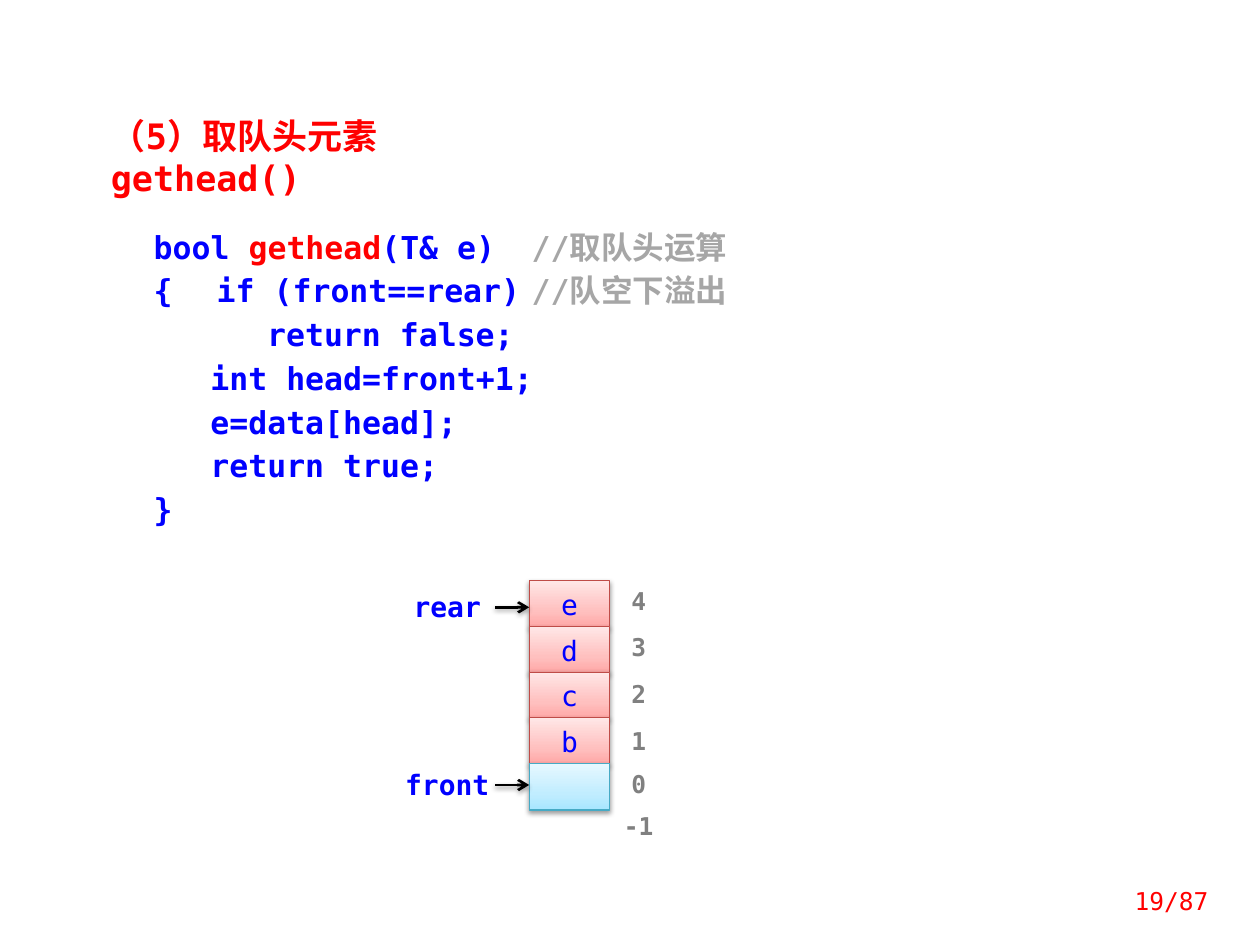
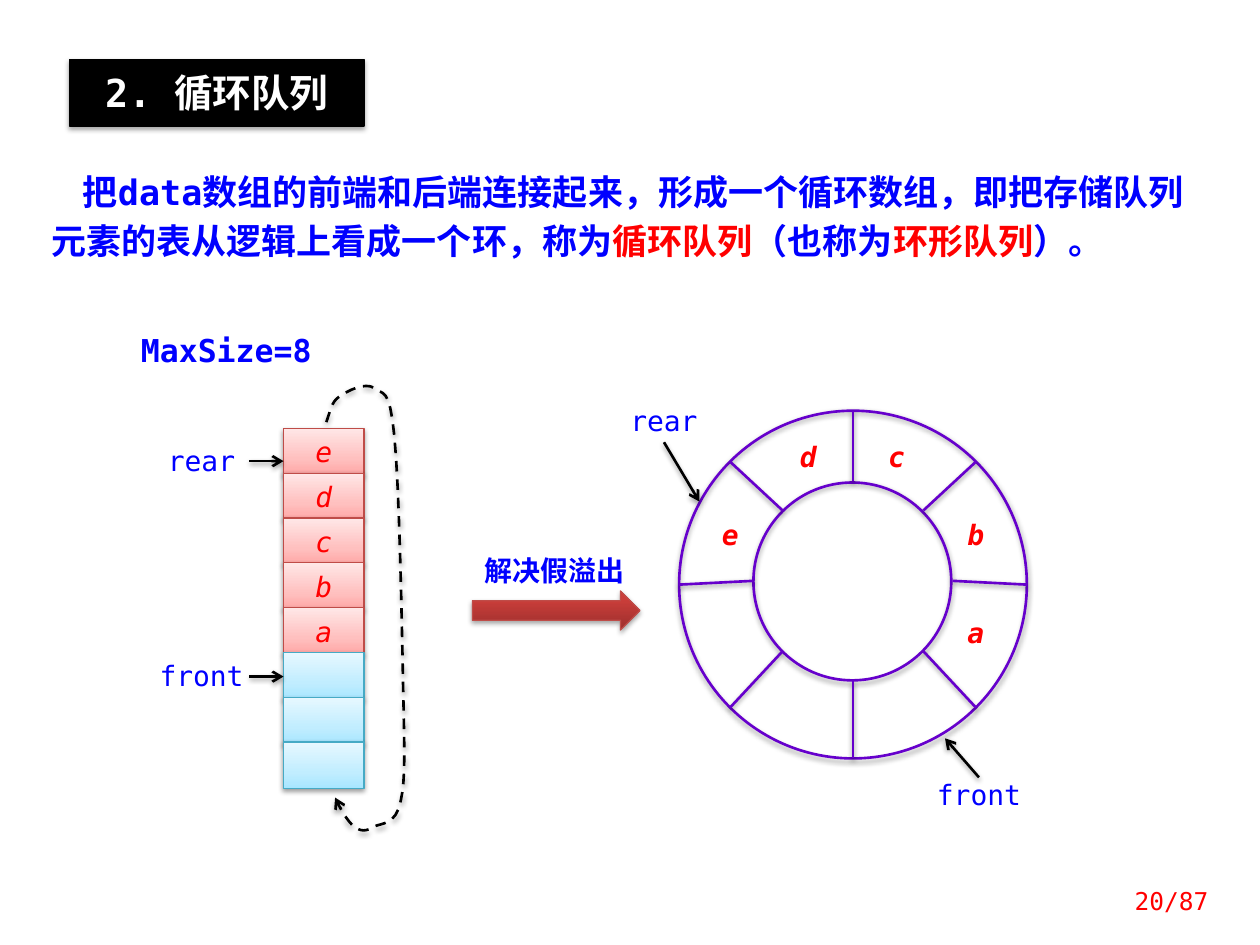
from dataclasses import dataclass
from math import cos, pi, sin
from typing import NamedTuple

from lxml.etree import SubElement
from pptx import Presentation
from pptx.dml.color import RGBColor
from pptx.enum.dml import MSO_LINE_DASH_STYLE as Dash
from pptx.enum.lang import MSO_LANGUAGE_ID as Lang
from pptx.enum.shapes import MSO_CONNECTOR as Link, MSO_SHAPE as Kind
from pptx.enum.text import MSO_ANCHOR as Anchor, MSO_AUTO_SIZE as Fit, PP_ALIGN as Align
from pptx.oxml.ns import qn
from pptx.util import Pt

SCALE = 9144
FONT = "DejaVu Sans Mono"
BLUE, RED, GRAY, PALE = "0000FF", "FF0000", "808080", "A6A6A6"
BLACK, WHITE, PURPLE = "000000", "FFFFFF", "6600CC"
NONE, BASE = (0, 0, 0, 0), (10, 5, 10, 5)


class Area(NamedTuple):
    x: int
    y: float
    w: int
    h: int


class Run(NamedTuple):
    text: str
    color: str = ""


@dataclass(frozen=True)
class Face:
    size: int
    color: str = BLUE
    bold: bool = False
    slant: bool = False


@dataclass(frozen=True)
class Para:
    runs: tuple[Run, ...]
    align: Align = Align.LEFT
    lead: int = 0
    left: int = 0
    first: int = 0
    tabs: tuple[int, ...] = ()


@dataclass(frozen=True)
class Look:
    fill: str = ""
    stops: tuple[tuple[int, str], ...] = ()
    line: str = ""
    width: float = 0.75
    shade: int = 0


@dataclass(frozen=True)
class Stack:
    x: int
    top: int
    last: int
    full: str
    free: int
    face: Face


PINK = Look(stops=((0, "FFA6A5"), (35, "FFC0BF"), (100, "FFE7E7")), line="BF4C48", shade=38)
SKY = Look(stops=((0, "A7E6FF"), (35, "C1EDFF"), (100, "E7F8FF")), line="46AAC5", shade=38)
BRICK = Look(stops=((0, "9C2F2D"), (80, "CB3E3A"), (100, "CE3B37")), line="BF4C48", shade=35)
BAND = Look(fill=BLACK, line=BLACK, shade=35)
RING = Look(line=PURPLE, width=1.5, shade=38)
INK = Look(line=BLACK, width=1.5, shade=38)
BARE, PLAIN = Look(), Look(fill=WHITE)


def px(value: float) -> int:
    return round(value * SCALE)


def tint(code: str) -> RGBColor:
    return RGBColor.from_string(code)


def stroke(shape, look: Look, tip: bool = False, dash: bool = False) -> None:
    shape.line.color.rgb = tint(look.line)
    shape.line.width = Pt(look.width)
    if dash:
        shape.line.dash_style = Dash.DASH
    if tip:
        SubElement(shape._element.spPr.find(qn("a:ln")), qn("a:tailEnd"), type="arrow")


def cast(shape, look: Look) -> None:
    glow = SubElement(shape._element.spPr, qn("a:effectLst"))
    if look.shade:
        drop = SubElement(glow, qn("a:outerShdw"), blurRad=str(px(4)), dist=str(px(2)),
                          dir="5400000", rotWithShape="0")
        hue = SubElement(drop, qn("a:srgbClr"), val=BLACK)
        SubElement(hue, qn("a:alpha"), val=str(look.shade * 1000))


def dress(shape, look: Look, tip: bool = False, dash: bool = False) -> None:
    if look.stops:
        shape.fill.gradient()
        shape.fill.gradient_angle = 90
        ramp = shape._element.spPr.find(qn("a:gradFill")).find(qn("a:gsLst"))
        for stop in list(ramp):
            ramp.remove(stop)
        for place, code in look.stops:
            stop = SubElement(ramp, qn("a:gs"), pos=str(place * 1000))
            SubElement(stop, qn("a:srgbClr"), val=code)
    elif look.fill:
        shape.fill.solid()
        shape.fill.fore_color.rgb = tint(look.fill)
    else:
        shape.fill.background()
    if look.line:
        stroke(shape, look, tip, dash)
    else:
        shape.line.fill.background()
    cast(shape, look)


def write(shape, paras: tuple[Para, ...], face: Face, inset=BASE, anchor=Anchor.TOP) -> None:
    frame = shape.text_frame
    frame.word_wrap = True
    frame.auto_size = Fit.NONE
    frame.vertical_anchor = anchor
    frame.margin_left, frame.margin_top, frame.margin_right, frame.margin_bottom = map(px, inset)
    for i, para in enumerate(paras):
        line = frame.add_paragraph() if i else frame.paragraphs[0]
        line.alignment = para.align
        if para.lead:
            line.line_spacing = Pt(para.lead)
        props = line._p.get_or_add_pPr()
        props.set("marL", str(px(para.left)))
        props.set("indent", str(px(para.first)))
        if para.tabs:
            tabs = SubElement(props, qn("a:tabLst"))
            for tab in para.tabs:
                SubElement(tabs, qn("a:tab"), pos=str(px(tab)), algn="l")
        for part in para.runs:
            run = line.add_run()
            run.text = part.text
            font = run.font
            font.name, font.size = FONT, Pt(face.size)
            font.bold, font.italic = face.bold, face.slant
            font.language_id = Lang.SIMPLIFIED_CHINESE
            font.color.rgb = tint(part.color or face.color)


def form(slide, kind: Kind, area: Area, look: Look):
    shape = slide.shapes.add_shape(kind, *map(px, area))
    dress(shape, look)
    return shape


def tag(slide, area: Area, text: str, face: Face, look: Look = PLAIN, lead: int = 0) -> None:
    shape = form(slide, Kind.RECTANGLE, area, look)
    if text:
        write(shape, (Para((Run(text),), Align.CENTER, lead),), face, NONE)


def note(slide, area: Area, para: Para, face: Face, anchor=Anchor.TOP) -> None:
    write(slide.shapes.add_textbox(*map(px, area)), (para,), face, anchor=anchor)


def join(slide, x1: float, y1: float, x2: float, y2: float, look: Look = INK, tip: bool = True) -> None:
    link = slide.shapes.add_connector(Link.STRAIGHT, px(x1), px(y1), px(x2), px(y2))
    stroke(link, look, tip)
    cast(link, look)


def point(slide, x: int, y: int, text: str, face: Face) -> None:
    tag(slide, Area(x - 108, y - 14, 86, 30), text, face)
    join(slide, x - 27, y, x, y)


def pile(slide, stack: Stack) -> None:
    count = len(stack.full) + stack.free
    step = (stack.last - stack.top) / (count - 1)
    for i in range(count):
        text = stack.full[i:i + 1]
        area = Area(stack.x, stack.top + i * step, 64, 37)
        tag(slide, area, text, stack.face, PINK if text else SKY, 23)


def start(deck, title: str, area: Area, face: Face, look: Look, align: Align, inset, page: int):
    slide = deck.slides.add_slide(deck.slide_layouts[5])
    head = slide.shapes.title
    head.left, head.top, head.width, head.height = map(px, area)
    dress(head, look)
    write(head, (Para((Run(title),), align),), face, inset)
    note(slide, Area(867, 695, 102, 40), Para((Run(f"{page}/87"),), Align.RIGHT),
         Face(14, RED), Anchor.MIDDLE)
    return slide


def code(*runs: Run, left: int = 0) -> Para:
    return Para(runs, lead=25, left=left, tabs=() if left else (45, 400))


def front_item(deck) -> None:
    slide = start(deck, "（5）取队头元素gethead()", Area(78, 86, 375, 44),
                  Face(20, RED, True), BARE, Align.LEFT, BASE, 19)
    lines = (
        code(Run("bool "), Run("gethead", RED), Run("(T& e)\t"), Run("//取队头运算", PALE)),
        code(Run("{\tif (front==rear)\t"), Run("//队空下溢出", PALE)),
        code(Run("return false;"), left=90),
        code(Run("int head=front+1;"), left=45),
        code(Run("e=data[head];"), left=45),
        code(Run("return true;"), left=45),
        code(Run("}")),
    )
    body = form(slide, Kind.RECTANGLE, Area(102, 164, 672, 267), PLAIN)
    write(body, lines, Face(18, bold=True), (20, 12, 10, 12))
    pile(slide, Stack(420, 461, 606, "edcb", 1, Face(16)))
    for i, y in enumerate((465, 502, 539, 576, 610, 644)):
        tag(slide, Area(492, y, 30, 27), str(4 - i), Face(14, GRAY, True))
    for text, y in (("rear", 482), ("front", 623)):
        point(slide, 420, y, text, Face(16, bold=True))


def ring(slide) -> None:
    form(slide, Kind.OVAL, Area(598, 383, 157, 157), RING)
    form(slide, Kind.OVAL, Area(539, 326, 276, 276), RING)
    for i in range(8):
        dx, dy = cos(i * pi / 4), sin(i * pi / 4)
        join(slide, 677 + 79 * dx, 461 + 79 * dy, 677 + 138 * dx, 464 + 138 * dy, RING, False)
    for text, x, y in (("e", 563, 406), ("d", 625, 344), ("c", 695, 344),
                       ("b", 758, 406), ("a", 758, 484)):
        note(slide, Area(x, y, 39, 37), Para((Run(text),)), Face(16, RED, True, True))
    tag(slide, Area(734, 617, 86, 30), "front", Face(16))
    join(slide, 777, 617, 750, 586)
    tag(slide, Area(484, 320, 86, 30), "rear", Face(16))
    join(slide, 527, 351, 555, 398)


def loop(slide) -> None:
    here = (259, 335)
    bends = (
        ((262, 327), (263, 319), (269, 315)),
        ((276, 310), (290, 303), (297, 308)),
        ((304, 314), (309, 306), (313, 346)),
        ((317, 386), (319, 498), (320, 547)),
        ((321, 595), (322, 618), (318, 636)),
        ((314, 655), (303, 653), (297, 656)),
        ((291, 660), (286, 660), (281, 656)),
        ((276, 652), (270, 642), (266, 633)),
    )
    pen = slide.shapes.build_freeform(*map(px, here))
    dots = []
    for one, two, end in bends:
        for t in (i / 8 for i in range(1, 9)):
            u = 1 - t
            dots.append(tuple(px(u**3 * a + 3 * u * u * t * b + 3 * u * t * t * c + t**3 * d)
                              for a, b, c, d in zip(here, one, two, end)))
        here = end
    pen.add_line_segments(dots, close=False)
    dress(pen.convert_to_shape(), INK, tip=True, dash=True)


def round_queue(deck) -> None:
    slide = start(deck, "2. 循环队列", Area(55, 47, 234, 53), Face(22, WHITE, True),
                  BAND, Align.CENTER, (10, 8, 10, 8), 20)
    runs = (
        Run("把data数组的前端和后端连接起来，形成一个循环数组，即把存储队列元素的表从逻辑上看成一个环，称为"),
        Run("循环队列", RED), Run("（也称为"), Run("环形队列", RED), Run("）。"),
    )
    note(slide, Area(31, 125, 930, 89), Para(runs, lead=28, first=25), Face(20, bold=True))
    ring(slide)
    form(slide, Kind.RIGHT_ARROW, Area(375, 469, 133, 31), BRICK)
    note(slide, Area(375, 422, 141, 45), Para((Run("解决假溢出"),), lead=28), Face(16, bold=True))
    note(slide, Area(102, 258, 164, 40), Para((Run("MaxSize=8"),)), Face(18, bold=True))
    pile(slide, Stack(225, 340, 589, "edcba", 3, Face(16, RED, slant=True)))
    for text, y in (("rear", 366), ("front", 537)):
        point(slide, 225, y, text, Face(16))
    loop(slide)


def main() -> None:
    deck = Presentation()
    deck.slide_width, deck.slide_height = px(1000), px(750)
    front_item(deck)
    round_queue(deck)
    deck.save("out.pptx")


if __name__ == "__main__":
    main()
